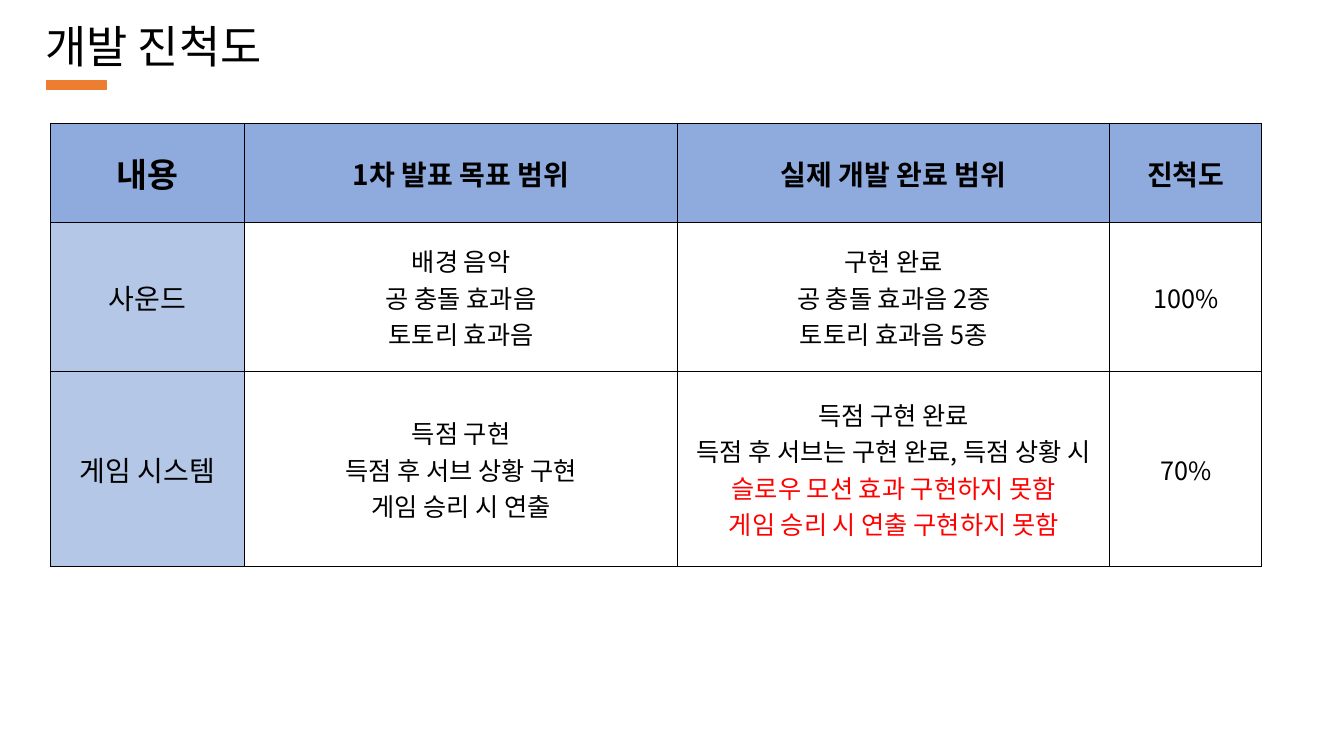
from lxml.etree import SubElement
from pptx import Presentation
from pptx.dml.color import RGBColor
from pptx.enum.shapes import MSO_SHAPE
from pptx.enum.text import MSO_ANCHOR, PP_ALIGN
from pptx.oxml import parse_xml
from pptx.oxml.ns import nsdecls, qn
from pptx.util import Cm, Pt

FONT = "Noto Sans CJK KR"


def color(value):
    return RGBColor.from_string(value)


def format_run(run, size, bold=False, text_color="000000"):
    run.font.name = FONT
    run.font.size = Pt(size)
    run.font.bold = bold
    run.font.color.rgb = color(text_color)
    SubElement(run.font._element, qn("a:ea")).set("typeface", FONT)


presentation = Presentation()
presentation.slide_width = Cm(33.87)
presentation.slide_height = Cm(19.05)
slide = presentation.slides.add_slide(presentation.slide_layouts[5])

accent_bar = slide.shapes.add_shape(
    MSO_SHAPE.RECTANGLE, Cm(1.17), Cm(2.03), Cm(1.5), Cm(0.23))
accent_bar.shadow.inherit = False
accent_bar.fill.solid()
accent_bar.fill.fore_color.rgb = color("ED7D31")
accent_bar.line.color.rgb = color("ED7D31")
accent_bar.line.width = Pt(1)

title = slide.shapes.title
title.left, title.top, title.width, title.height = Cm(0.89), Cm(0.5), Cm(7.6), Cm(1.5)
title.text_frame.text = "개발 진척도"
title.text_frame.vertical_anchor = MSO_ANCHOR.TOP
title_paragraph = title.text_frame.paragraphs[0]
title_paragraph.alignment = PP_ALIGN.LEFT
title_paragraph.line_spacing = 0.9
title_paragraph.space_after = Pt(6)
format_run(title_paragraph.runs[0], 32)

# Text after "|" in a line is shown in red.
rows = [
    ["내용", "1차 발표 목표 범위", "실제 개발 완료 범위", "진척도"],
    ["사운드",
     "배경 음악\n공 충돌 효과음\n토토리 효과음",
     "구현 완료\n공 충돌 효과음 2종\n토토리 효과음 5종",
     "100%"],
    ["게임 시스템",
     "득점 구현\n득점 후 서브 상황 구현\n게임 승리 시 연출",
     "득점 구현 완료\n"
     "득점 후 서브는 구현 완료, 득점 상황 시 |슬로우 모션 효과 구현하지 못함\n"
     "|게임 승리 시 연출 구현하지 못함",
     "70%"],
]
column_widths = [4.9, 10.9, 10.9, 3.83]
row_heights = [2.49, 3.76, 4.9]

table = slide.shapes.add_table(
    len(rows), len(column_widths), Cm(1.27), Cm(3.12),
    Cm(sum(column_widths)), Cm(sum(row_heights))).table
for column, width in zip(table.columns, column_widths):
    column.width = Cm(width)
for row, height in zip(table.rows, row_heights):
    row.height = Cm(height)

for row_index, row_texts in enumerate(rows):
    for column_index, cell_text in enumerate(row_texts):
        is_header = row_index == 0
        is_label = column_index == 0
        size = 24 if is_header and is_label else 20 if is_header or is_label else 18

        cell = table.cell(row_index, column_index)
        cell.vertical_anchor = MSO_ANCHOR.MIDDLE
        if is_header or is_label:
            cell.fill.solid()
            cell.fill.fore_color.rgb = color("8FAADC" if is_header else "B4C7E7")
        else:
            cell.fill.background()

        cell.text_frame.text = cell_text.replace("|", "")
        for paragraph, line in zip(cell.text_frame.paragraphs, cell_text.split("\n")):
            black_text, _, red_text = line.partition("|")
            paragraph.text = black_text
            paragraph.alignment = PP_ALIGN.CENTER
            for run in paragraph.runs:
                format_run(run, size, is_header)
            if red_text:
                red_run = paragraph.add_run()
                red_run.text = red_text
                format_run(red_run, size, text_color="FF0000")

        cell_properties = cell._tc.get_or_add_tcPr()
        for position, side in enumerate(["lnL", "lnR", "lnT", "lnB"]):
            cell_properties.insert(position, parse_xml(
                f'<a:{side} {nsdecls("a")} w="12700"><a:solidFill>'
                f'<a:srgbClr val="000000"/></a:solidFill></a:{side}>'))

presentation.save("out.pptx")
